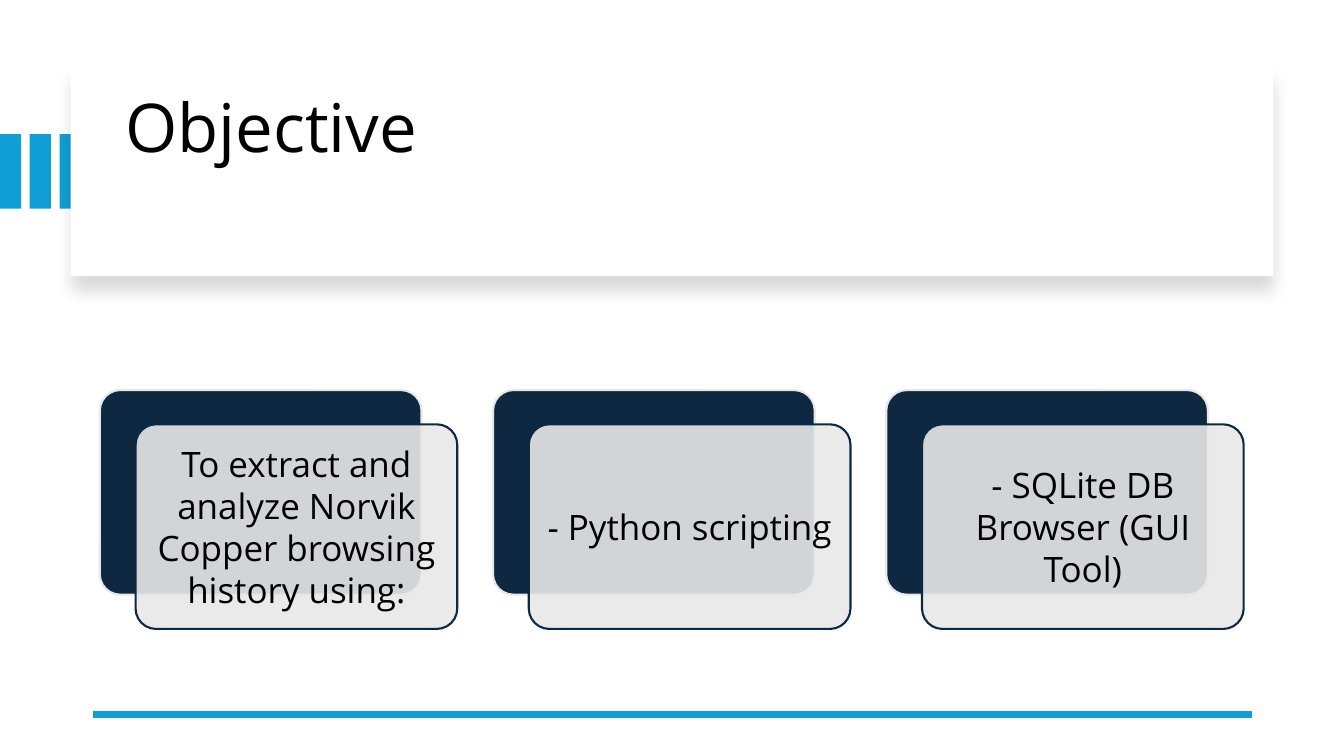
from dataclasses import dataclass

from lxml import etree
from pptx import Presentation
from pptx.dml.color import RGBColor
from pptx.enum.shapes import MSO_CONNECTOR, MSO_SHAPE
from pptx.enum.text import MSO_ANCHOR, PP_ALIGN
from pptx.oxml.ns import qn
from pptx.slide import Slide
from pptx.util import Inches, Pt

RECT = MSO_SHAPE.RECTANGLE
ROUND = MSO_SHAPE.ROUNDED_RECTANGLE
STRAIGHT = MSO_CONNECTOR.STRAIGHT
LEFT, CENTER = PP_ALIGN.LEFT, PP_ALIGN.CENTER
TOP, MIDDLE = MSO_ANCHOR.TOP, MSO_ANCHOR.MIDDLE
TITLE_ONLY = 5


@dataclass(frozen=True)
class Theme:
    font: str = "Open Sans"
    blue: str = "0F9ED5"
    navy: str = "0E2841"
    gray: str = "E8E8E8"
    white: str = "FFFFFF"
    black: str = "000000"
    title: int = 48
    body: int = 25
    edge: float = 1.5
    rule: float = 4.5


@dataclass(frozen=True)
class Box:
    left: float
    top: float
    width: float
    height: float

    def shift(self, right: float, down: float) -> "Box":
        return Box(self.left + right, self.top + down, self.width, self.height)

    def place(self) -> list:
        return [Inches(n) for n in (self.left, self.top, self.width, self.height)]


THEME = Theme()
BAR = Box(0, 1.33, 0.21, 0.74)
BAR_STEP = 0.295
PANEL = Box(0.7, 0.67, 11.93, 2.07)
TITLE = Box(1.14, 0.89, 11.13, 1.7)
CARD = Box(0.99, 3.87, 3.19, 2.03)
CARD_STEP = 3.9
GOALS = (
    "To extract and analyze Norvik Copper browsing history using:",
    "- Python scripting",
    "- SQLite DB Browser (GUI Tool)",
)


def paint(slide: Slide, kind: MSO_SHAPE, box: Box, fill: str, edge: str = ""):
    shape = slide.shapes.add_shape(kind, *box.place())
    shape.shadow.inherit = False
    shape.fill.solid()
    shape.fill.fore_color.rgb = RGBColor.from_string(fill)
    if edge:
        shape.line.color.rgb = RGBColor.from_string(edge)
        shape.line.width = Pt(THEME.edge)
    else:
        shape.line.fill.background()
    if kind == ROUND:
        shape.adjustments[0] = 0.1
    return shape


def fade(color, percent: int) -> None:
    """Set the opacity of a colour element."""
    etree.SubElement(color, qn("a:alpha"), val=str(percent * 1000))


def cast(shape) -> None:
    """Give the shape a soft shadow straight below it."""
    effects = shape._element.spPr.find(qn("a:effectLst"))
    shadow = etree.SubElement(
        effects, qn("a:outerShdw"), blurRad=str(Pt(11)), dist=str(Pt(10)),
        dir=str(90 * 60000), algn="t", rotWithShape="0",
    )
    fade(etree.SubElement(shadow, qn("a:srgbClr"), val=THEME.black), 15)


def write(shape, text: str, size: int, frame: dict, para: dict) -> None:
    body = shape.text_frame
    body.text = text
    line = body.paragraphs[0]
    font = {"name": THEME.font, "size": Pt(size)}
    for part, format in ((body, frame), (line, para), (line.runs[0].font, font)):
        for name, value in format.items():
            setattr(part, name, value)
    line.runs[0].font.color.rgb = RGBColor.from_string(THEME.black)


def head(slide: Slide) -> None:
    for i in range(3):
        paint(slide, RECT, BAR.shift(i * BAR_STEP, 0), THEME.blue)
    cast(paint(slide, RECT, PANEL, THEME.white))
    title = slide.shapes.title
    title.left, title.top, title.width, title.height = TITLE.place()
    slide.shapes._spTree.append(title._element)  # in front of the panel
    write(title, "Objective", THEME.title,
          {"vertical_anchor": TOP, "word_wrap": True},
          {"alignment": LEFT, "line_spacing": 0.9})


def rule(slide: Slide) -> None:
    ends = [Inches(n) for n in (12.42, 7.09, 0.92, 7.09)]
    line = slide.shapes.add_connector(STRAIGHT, *ends)
    line.line.color.rgb = RGBColor.from_string(THEME.blue)
    line.line.width = Pt(THEME.rule)
    etree.SubElement(line._element.spPr, qn("a:effectLst"))


def card(slide: Slide, box: Box, text: str) -> None:
    paint(slide, ROUND, box, THEME.navy, THEME.gray)
    front = paint(slide, ROUND, box.shift(0.355, 0.34), THEME.gray, THEME.navy)
    fade(front._element.spPr.find(qn("a:solidFill"))[0], 90)
    frame = {"margin_" + side: Inches(0.04)
             for side in ("left", "top", "right", "bottom")}
    frame |= {"vertical_anchor": MIDDLE, "word_wrap": True}
    write(front, text, THEME.body, frame, {"alignment": CENTER})


def main() -> None:
    deck = Presentation()
    deck.slide_width, deck.slide_height = Inches(13.33), Inches(7.5)
    slide = deck.slides.add_slide(deck.slide_layouts[TITLE_ONLY])
    head(slide)
    rule(slide)
    for i, goal in enumerate(GOALS):
        card(slide, CARD.shift(i * CARD_STEP, 0), goal)
    deck.save("out.pptx")


if __name__ == "__main__":
    main()
